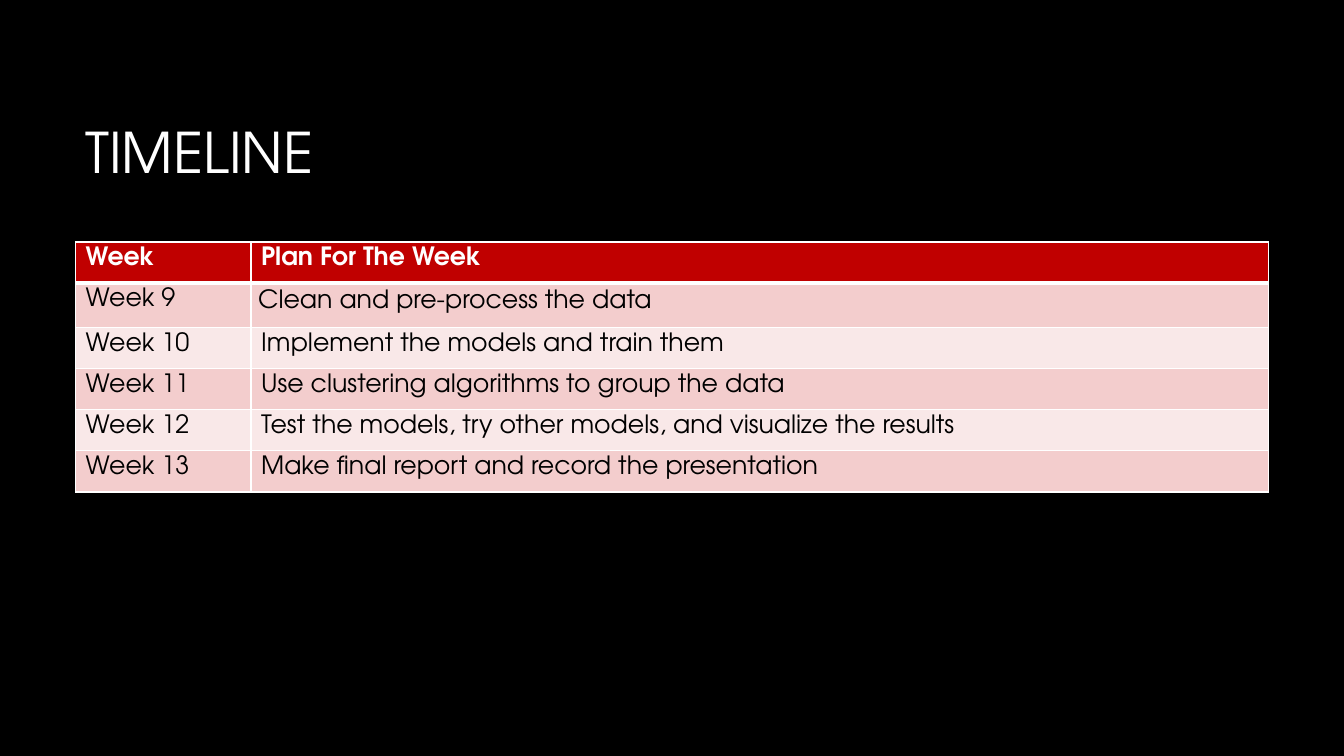
from pptx import Presentation
from pptx.dml.color import RGBColor as Rgb
from pptx.enum.text import MSO_ANCHOR as Anchor
from pptx.oxml import parse_xml
from pptx.oxml.ns import nsdecls
from pptx.util import Inches, Pt

FONT = "TeX Gyre Adventor"
WHITE, BLACK, RED = "FFFFFF", "000000", "C00000"
BANDS = ["F3CDCD", "F9E8E8"]
PLAN = [
    ("Week", "Plan For The Week"),
    ("Week 9", "Clean and pre-process the data"),
    ("Week 10", "Implement the models and train them"),
    ("Week 11", "Use clustering algorithms to group the data"),
    ("Week 12", "Test the models, try other models, and visualize the results"),
    ("Week 13", "Make final report and record the presentation"),
]


def color(code):
    return Rgb.from_string(code)


def style(frame, size, code, bold=False):
    for para in frame.paragraphs:
        for run in para.runs:
            font = run.font
            font.name, font.size, font.bold = FONT, Pt(size), bold
            font.color.rgb = color(code)


def border(cell, side, width):
    cell._tc.get_or_add_tcPr().append(parse_xml(
        f'<a:ln{side} {nsdecls("a")} w="{Pt(width)}"><a:solidFill>'
        f'<a:srgbClr val="{WHITE}"/></a:solidFill></a:ln{side}>'))


def add_title(slide, left, top, width, height):
    box = slide.shapes.add_textbox(
        Inches(left), Inches(top), Inches(width), Inches(height))
    frame = box.text_frame
    frame.word_wrap = True
    frame.vertical_anchor = Anchor.MIDDLE
    frame.text = "TIMELINE"
    frame.paragraphs[0].line_spacing = 0.9
    style(frame, 40, WHITE)


def add_plan(slide, left, top, width, height):
    table = slide.shapes.add_table(
        len(PLAN), 2, Inches(left), Inches(top),
        Inches(width), Inches(height)).table
    first = 1.74
    table.columns[0].width = Inches(first)
    table.columns[1].width = Inches(width - first)
    for row, texts in enumerate(PLAN):
        head = row == 0
        for col, text in enumerate(texts):
            cell = table.cell(row, col)
            cell.text_frame.text = text
            style(cell.text_frame, 18, WHITE if head else BLACK, head)
            for side in "LRTB":
                thick = (row, side) in [(0, "B"), (1, "T")]
                border(cell, side, 3 if thick else 1)
            cell.fill.solid()
            cell.fill.fore_color.rgb = color(
                RED if head else BANDS[(row - 1) % 2])
    clean = table.cell(1, 1)
    clean.margin_left = clean.margin_right = Inches(0.07)
    clean.margin_top = clean.margin_bottom = Inches(0.07)


def main():
    deck = Presentation()
    deck.slide_width, deck.slide_height = Inches(13.33), Inches(7.5)
    slide = deck.slides.add_slide(deck.slide_layouts[6])
    slide.background.fill.solid()
    slide.background.fill.fore_color.rgb = color(BLACK)
    add_title(slide, 0.75, 0.84, 11.83, 1.41)
    add_plan(slide, 0.75, 2.4, 11.83, 2.45)
    deck.save("out.pptx")


if __name__ == "__main__":
    main()
